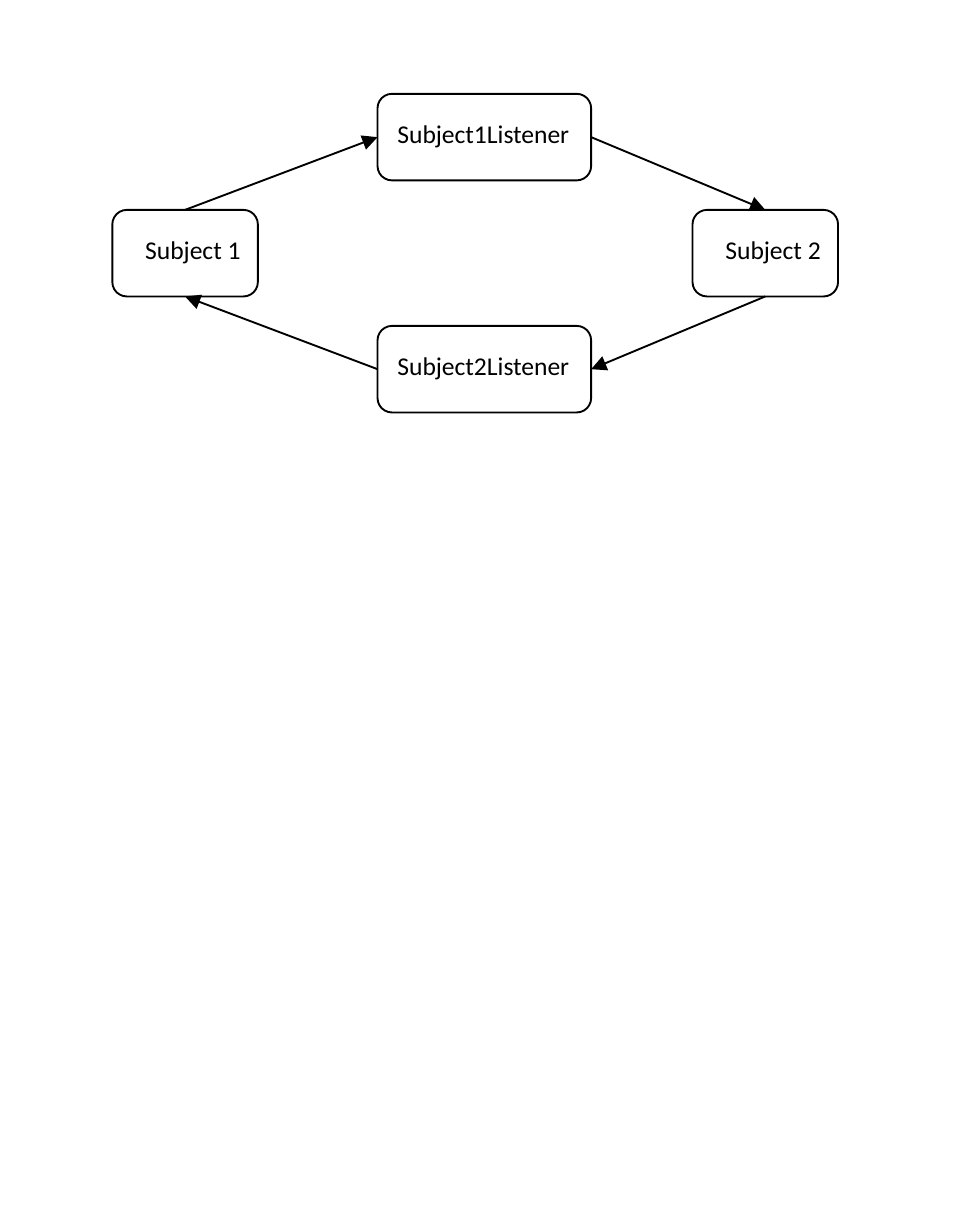
from lxml import etree
from pptx import Presentation
from pptx.dml.color import RGBColor
from pptx.enum.shapes import MSO_CONNECTOR, MSO_SHAPE
from pptx.oxml.ns import qn
from pptx.util import Inches, Pt

ROUNDED_BOX = MSO_SHAPE.FLOWCHART_ALTERNATE_PROCESS
STRAIGHT = MSO_CONNECTOR.STRAIGHT
TOP, LEFT, BOTTOM, RIGHT = range(4)


def color(hex_value):
    return RGBColor.from_string(hex_value)


class Diagram:
    """Holds the style and the current slide."""
    font_name = "Calibri"
    font_size = Pt(10)
    ink = "000000"
    line_width = Pt(0.75)

    def __init__(self, slide):
        self.shapes = slide.shapes

    def style_line(self, line):
        line.color.rgb = color(self.ink)
        line.width = self.line_width

    def box(self, left, top, width, height):
        shape = self.shapes.add_shape(
            ROUNDED_BOX, Inches(left), Inches(top), Inches(width), Inches(height))
        shape.shadow.inherit = False
        shape.fill.background()
        self.style_line(shape.line)
        return shape

    def label(self, text, left, top, width, height):
        text_box = self.shapes.add_textbox(
            Inches(left), Inches(top), Inches(width), Inches(height))
        frame = text_box.text_frame
        frame.word_wrap = True
        paragraph = frame.paragraphs[0]
        paragraph.text = text
        paragraph.font.name = self.font_name
        paragraph.font.size = self.font_size
        paragraph.font.color.rgb = color(self.ink)

    def arrow(self, source, source_side, target, target_side):
        connector = self.shapes.add_connector(STRAIGHT, 0, 0, 0, 0)
        connector.begin_connect(source, source_side)
        connector.end_connect(target, target_side)
        self.style_line(connector.line)
        properties = connector._element.spPr
        outline = properties.find(qn("a:ln"))
        etree.SubElement(outline, qn("a:tailEnd"), type="triangle")
        etree.SubElement(properties, qn("a:effectLst"))


def main():
    presentation = Presentation()
    presentation.slide_width = Inches(5.31)
    presentation.slide_height = Inches(6.69)
    slide = presentation.slides.add_slide(presentation.slide_layouts[6])
    diagram = Diagram(slide)

    # Subjects and listeners: text, box left, top, width, label indent, label width
    box_height, label_drop, label_height = 0.47, 0.08, 0.27
    nodes = [
        ("Subject 1", 0.61, 1.14, 0.79, 0.08, 0.79),
        ("Subject1Listener", 2.05, 0.51, 1.16, 0.01, 1.2),
        ("Subject 2", 3.76, 1.14, 0.79, 0.08, 0.79),
        ("Subject2Listener", 2.05, 1.77, 1.16, 0.01, 1.2),
    ]
    boxes = []
    for text, left, top, width, indent, label_width in nodes:
        boxes.append(diagram.box(left, top, width, box_height))
        diagram.label(text, left + indent, top + label_drop, label_width, label_height)

    # Arrows around the cycle
    sides = [(TOP, LEFT), (RIGHT, TOP), (BOTTOM, RIGHT), (LEFT, BOTTOM)]
    for index, (source_side, target_side) in enumerate(sides):
        target = boxes[(index + 1) % len(boxes)]
        diagram.arrow(boxes[index], source_side, target, target_side)

    presentation.save("out.pptx")


if __name__ == "__main__":
    main()
